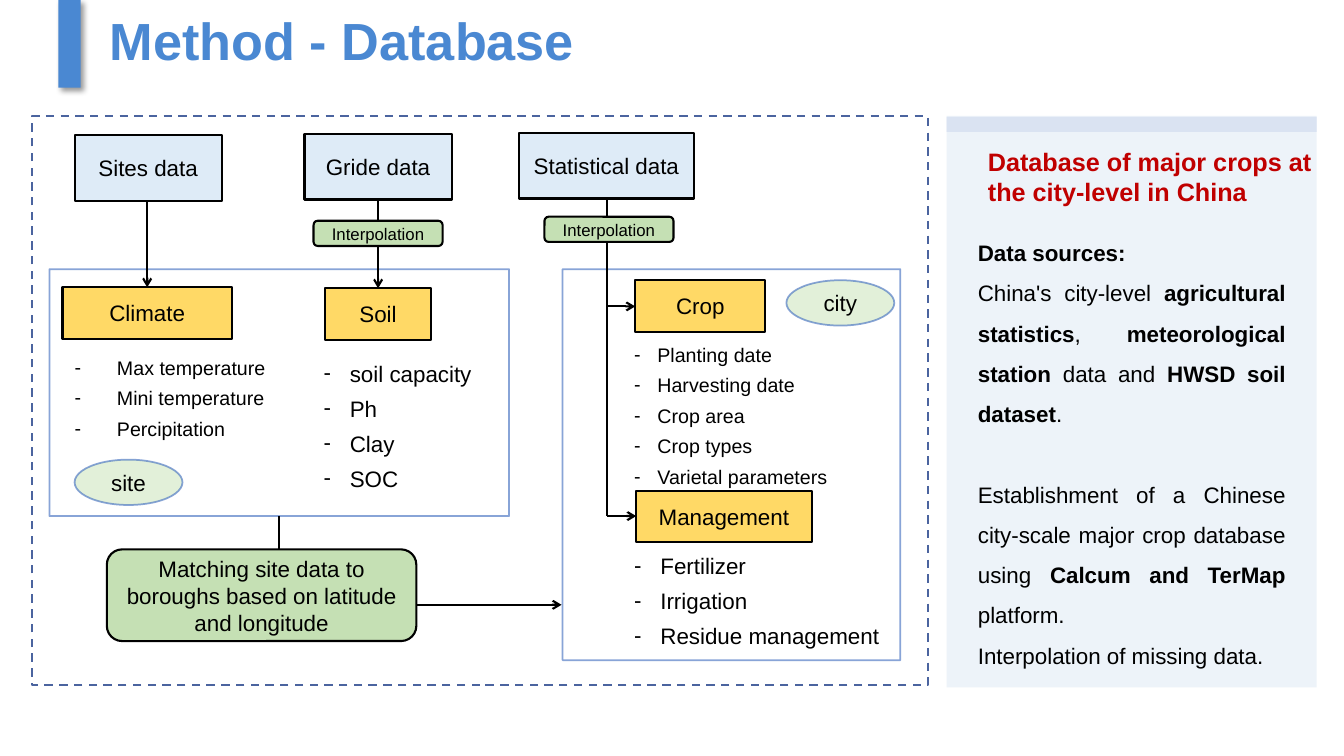
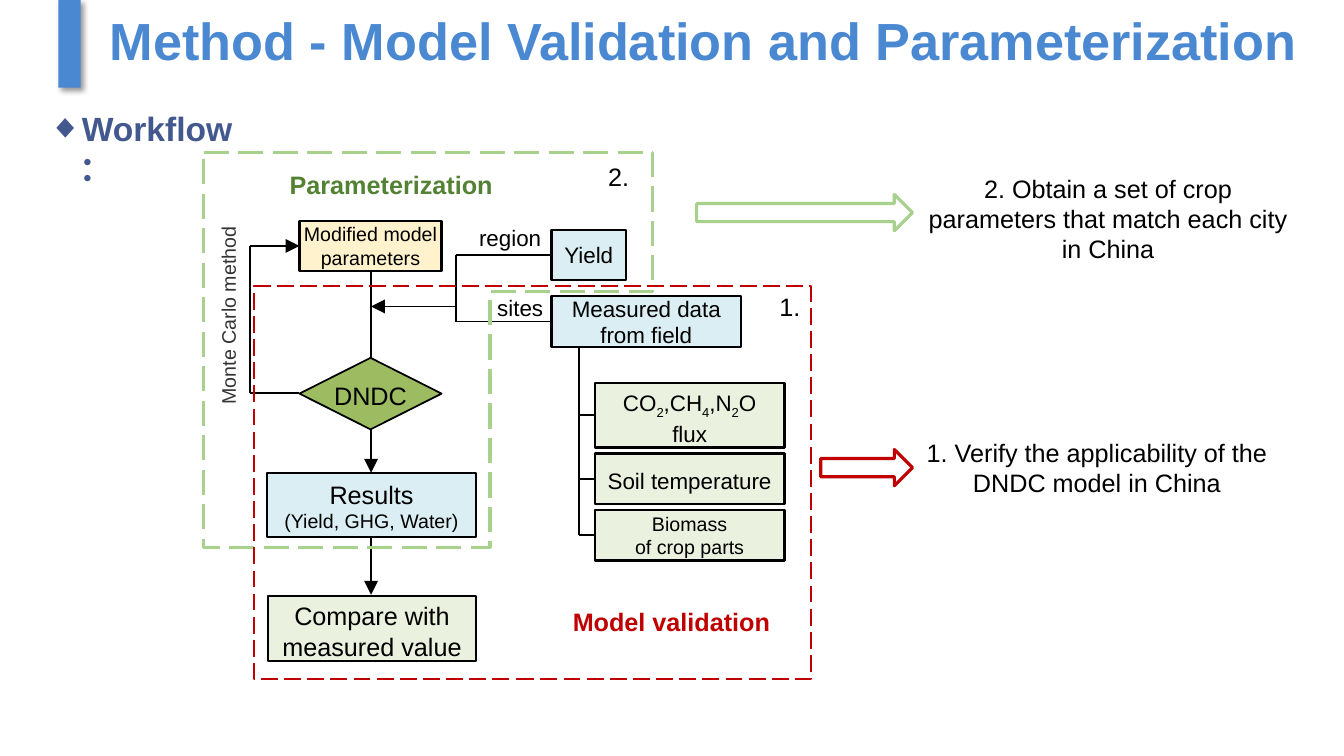
from dataclasses import dataclass
from itertools import pairwise

from lxml.etree import SubElement as Sub
from pptx import Presentation
from pptx.dml.color import RGBColor as Rgb
from pptx.enum.dml import MSO_LINE as Dash
from pptx.enum.shapes import MSO_CONNECTOR as Link, MSO_SHAPE as Form
from pptx.enum.text import MSO_ANCHOR as Anchor, MSO_AUTO_SIZE as Fit, PP_ALIGN as Align
from pptx.oxml.ns import qn
from pptx.util import Inches, Pt


@dataclass(frozen=True)
class Pen:
    """Line colour, width in points, dash and opacity in percent."""
    color: str
    width: float
    dash: object = None
    alpha: int = 100


@dataclass(frozen=True)
class Theme:
    """Colours, pens, type sizes and grid of the deck."""
    font: str = "Arial"
    cell: float = 0.1
    black: str = "000000"
    gray: str = "333333"
    blue: str = "4A88D2"
    navy: str = "42588E"
    red: str = "C00000"
    green: str = "548235"
    panel: str = "EDF3F9"
    band: str = "DAE3F2"
    source: str = "DEEBF7"
    topic: str = "FFD966"
    step: str = "C5E0B4"
    scope: str = "E2F0D9"
    aqua: str = "DBEEF3"
    cream: str = "FFF2CC"
    pale: str = "EBF1DF"
    olive: str = "9DBB61"
    head: float = 37.3
    lead: float = 24
    large: float = 18
    body: float = 16
    small: float = 14
    tiny: float = 12
    ink: Pen = Pen("000000", 1.5)
    edge: Pen = Pen("000000", 1.63)
    thin: Pen = Pen("000000", 1.25)
    soft: Pen = Pen("3F6DBF", 1.25, None, 62)
    frame: Pen = Pen("4B649F", 1.5, Dash.DASH)
    zone: Pen = Pen("C00000", 1.5, Dash.LONG_DASH)
    tune: Pen = Pen("A9D18E", 2.25, Dash.LONG_DASH)
    go: Pen = Pen("A9D18E", 2.25)
    test: Pen = Pen("C00000", 2.25)


LOOK = Theme()


def grid(*cells):
    """Turn grid cells into lengths."""
    return [Inches(cell * LOOK.cell) for cell in cells]


def write(frame, text, size=LOOK.body, color=LOOK.black, bold=False, align=Align.LEFT,
          anchor=Anchor.TOP, pad=(1, 0.5), drop=0, space=1.0, mark=None, hang=0, gaps=None,
          wrap=True):
    """Fill a frame; * toggles bold, ~ toggles subscript, a size tuple goes line by line."""
    frame.word_wrap, frame.auto_size = wrap, Fit.NONE
    frame.vertical_anchor = anchor
    frame.margin_left, frame.margin_top, frame.margin_right, frame.margin_bottom = grid(
        pad[0], pad[1] + drop, pad[0], pad[1])
    for row, line in enumerate(text.split("\n")):
        para = frame.add_paragraph() if row else frame.paragraphs[0]
        para.alignment, para.line_spacing = align, space
        para.space_before = Pt((gaps or {}).get(row, 0))
        if mark:
            props = para._p.get_or_add_pPr()
            props.set("marL", str(grid(hang)[0]))
            props.set("indent", str(grid(-hang)[0]))
            Sub(props, qn("a:buChar"), char=mark)
        for turn, part in enumerate(line.split("*")):
            for sub, piece in enumerate(part.split("~")):
                if not piece:
                    continue
                run = para.add_run()
                run.text = piece
                font = run.font
                font.name, font.bold = LOOK.font, bold or turn % 2 == 1
                font.size = Pt(size[row] if isinstance(size, tuple) else size)
                font.color.rgb = Rgb.from_string(color)
                if sub % 2:
                    font._element.set("baseline", "-25000")


class Deck:
    """Presentation with a current slide and one method per kind of element."""

    def __init__(self):
        self.show = Presentation()
        self.show.slide_width, self.show.slide_height = Inches(13.33), Inches(7.5)

    def page(self, title, layout):
        """Start a slide with its accent bar and title."""
        self.slide = self.show.slides.add_slide(self.show.slide_layouts[layout])
        self.shapes = self.slide.shapes
        bar = self.box(5.8, 0, 2.2, 8.7, fill=LOOK.blue)
        glow = Sub(bar._element.spPr.find(qn("a:effectLst")), qn("a:outerShdw"),
                   blurRad=str(Pt(4)), dist=str(Pt(3)), dir="2700000", algn="tl", rotWithShape="0")
        tint = Sub(glow, qn("a:srgbClr"), val=LOOK.black)
        Sub(tint, qn("a:alpha"), val="40000")
        self.place(self.shapes.title, 9.9, 0.3, 122.2, 6.7)
        write(self.shapes.title.text_frame, title, size=LOOK.head, color=LOOK.blue, bold=True)

    def place(self, shape, x, y, w, h):
        """Move a shape onto the grid."""
        shape.left, shape.top, shape.width, shape.height = grid(x, y, w, h)

    def paint(self, shape, fill, pen):
        """Give a shape its fill and outline."""
        shape.shadow.inherit = False
        if fill:
            shape.fill.solid()
            shape.fill.fore_color.rgb = Rgb.from_string(fill)
        else:
            shape.fill.background()
        if pen:
            self.trace(shape.line, pen)
        else:
            shape.line.fill.background()
        return shape

    def trace(self, line, pen):
        """Apply a pen to a line."""
        line.color.rgb = Rgb.from_string(pen.color)
        line.width = Pt(pen.width)
        if pen.dash:
            line.dash_style = pen.dash
        if pen.alpha < 100:
            tint = line._get_or_add_ln().find(".//" + qn("a:srgbClr"))
            Sub(tint, qn("a:alpha"), val=str(pen.alpha * 1000))

    def box(self, x, y, w, h, text="", fill=None, pen=None, form=Form.RECTANGLE,
            pad=(0, 0), **style):
        """Draw a preset shape with centred text."""
        shape = self.paint(self.shapes.add_shape(form, *grid(x, y, w, h)), fill, pen)
        if text:
            write(shape.text_frame, text, align=Align.CENTER, anchor=Anchor.MIDDLE,
                  pad=pad, **style)
        return shape

    def label(self, x, y, w, h, text, turn=0, **style):
        """Put free text on the slide."""
        note = self.shapes.add_textbox(*grid(x, y, w, h))
        note.rotation = turn
        write(note.text_frame, text, **style)

    def items(self, slot, x, y, w, h, text, mark="-", **style):
        """Fill a body placeholder with a marked list."""
        body = self.slide.placeholders[slot]
        self.place(body, x, y, w, h)
        write(body.text_frame, text, mark=mark, **style)

    def wire(self, *dots, pen=LOOK.thin, head=None, girth="med"):
        """Join points with straight connectors, with a head on the last."""
        for start, end in pairwise(dots):
            link = self.shapes.add_connector(Link.STRAIGHT, *grid(*start, *end))
            self.trace(link.line, pen)
            if head and end == dots[-1]:
                Sub(link.line._get_or_add_ln(), qn("a:tailEnd"), type=head, w=girth, len=girth)
            Sub(link._element.spPr, qn("a:effectLst"))

    def area(self, *dots, pen):
        """Outline a closed polygon."""
        first, *rest = [grid(*dot) for dot in dots]
        path = self.shapes.build_freeform(*first)
        path.add_line_segments(rest, close=True)
        self.paint(path.convert_to_shape(), None, pen)


def data(deck):
    """Build the database slide."""
    deck.page("Method - Database", 4)
    deck.box(93.9, 11.5, 36.7, 56.7, fill=LOOK.panel)
    deck.box(93.9, 11.6, 36.7, 1.5, fill=LOOK.band)
    deck.box(3.2, 11.5, 88.8, 56.5, pen=LOOK.frame)
    deck.box(4.9, 26.7, 45.6, 24.5, pen=LOOK.soft)
    deck.box(55.8, 26.7, 33.5, 38.8, pen=LOOK.soft)

    arrow = dict(pen=LOOK.ink, head="arrow")
    deck.wire((14.6, 19.9), (14.6, 28.5), **arrow)
    deck.wire((37.5, 19.9), (37.5, 28.6), **arrow)
    for x, y in ((63, 30.4), (63.1, 51.2)):
        deck.wire((60.2, 19.7), (60.2, y), (x, y), **arrow)
    deck.wire((27.7, 51.2), (27.7, 60), (55.7, 60), **arrow)

    for x, y, w, text in ((7.4, 13.4, 14.6, "Sites data"), (30.2, 13.3, 14.6, "Gride data"),
                          (51.5, 13.2, 17.3, "Statistical data")):
        deck.box(x, y, w, 6.5, text, LOOK.source, LOOK.ink)
    for x, y, w, text in ((6.2, 28.5, 16.8, "Climate"), (32.2, 28.6, 10.6, "Soil"),
                          (63, 27.8, 12.9, "Crop"), (63.1, 48.7, 17.4, "Management")):
        deck.box(x, y, w, 5.1, text, LOOK.topic, LOOK.ink)
    for x, y in ((31.1, 21.9), (54, 21.5)):
        deck.box(x, y, 12.8, 2.5, "Interpolation", LOOK.step, LOOK.ink,
                 Form.ROUNDED_RECTANGLE, size=LOOK.tiny)
    for x, y, text in ((7.4, 45.6, "site"), (78, 27.8, "city")):
        deck.box(x, y, 10.7, 4.5, text, LOOK.scope, LOOK.soft, Form.OVAL)
    deck.box(10.6, 54.5, 30.7, 9.1, "Matching site data to boroughs based on latitude and longitude",
             LOOK.step, LOOK.ink, Form.ROUNDED_RECTANGLE, pad=(1, 0.5))

    deck.items(1, 6.4, 34.1, 25.5, 9.9, "Max temperature\nMini temperature\nPercipitation",
               size=LOOK.small, space=1.3, hang=4.2)
    deck.items(2, 31.1, 34.4, 17.9, 14.7, "soil capacity\nPh\nClay\nSOC", space=1.3, hang=2.6)
    deck.items(3, 61.9, 32.8, 30.2, 16,
               "Planting date\nHarvesting date\nCrop area\nCrop types\nVarietal parameters",
               size=LOOK.small, space=1.3, hang=2.3)
    deck.items(4, 61.9, 53.5, 29.4, 11.2, "Fertilizer\nIrrigation\nResidue management",
               space=1.3, hang=2.6)

    deck.label(97, 14, 36.4, 7.1, "Database of major crops at the city-level in China",
               size=LOOK.large, color=LOOK.red, bold=True)
    deck.label(96, 21.9, 32.5, 44.9,
               "*Data sources:*\n"
               "China's city-level *agricultural statistics*, *meteorological station* data and "
               "*HWSD soil dataset*.\n"
               "Establishment of a Chinese city-scale major crop database using "
               "*Calcum and TerMap* platform.\n"
               "Interpolation of missing data.",
               align=Align.JUSTIFY, space=1.5, gaps={2: 28.7})


def model(deck):
    """Build the workflow slide."""
    deck.page("Method - Model Validation and Parameterization", 1)
    deck.items(1, 3.8, 10.2, 21.5, 9, "Workflow：", mark="◆", hang=3.1,
               size=LOOK.lead, color=LOOK.navy, bold=True)

    deck.wire((36.8, 26.9), (36.8, 35.5))
    deck.wire((54.7, 31.9), (45.2, 31.9), (45.2, 25.3), (54.7, 25.3))
    deck.wire((57.4, 34.4), (57.4, 53.1), (59, 53.1))
    for y in (41.2, 47.5):
        deck.wire((57.4, y), (59, y))
    for dots in (((45.2, 30.4), (36.8, 30.4)), ((36.8, 42.6), (36.8, 46.9)),
                 ((36.8, 53.4), (36.8, 59)),
                 ((29.7, 39), (24.8, 39), (24.8, 24.4), (29.7, 24.4))):
        deck.wire(*dots, head="triangle", girth="lg")

    deck.box(29.7, 35.5, 14.1, 7.1, "DNDC", LOOK.olive, LOOK.thin, Form.DIAMOND,
             size=LOOK.large, drop=0.4, wrap=False)
    for x, y, w, h, text, fill, size, drop in (
            (54.7, 29.4, 18.8, 5, "Measured data from field", LOOK.aqua, LOOK.body, 0),
            (54.7, 22.8, 7.4, 5, "Yield", LOOK.aqua, LOOK.body, 0),
            (29.7, 21.9, 14.1, 5, "Modified model parameters", LOOK.cream, LOOK.small, 0),
            (26.5, 46.9, 20.7, 6.4, "Results\n(Yield, GHG, Water)", LOOK.aqua,
             (LOOK.large, LOOK.small), 0.2),
            (59, 38, 18.8, 6.4, "CO~2~,CH~4~,N~2~O\nflux", LOOK.pale, LOOK.body, 0.6),
            (59, 45, 18.8, 5, "Soil temperature", LOOK.pale, LOOK.body, 0.4),
            (59, 50.6, 18.8, 5, "Biomass\nof crop parts", LOOK.pale, LOOK.small, 0),
            (26.6, 59.1, 20.6, 6.5, "Compare with measured value", LOOK.pale, LOOK.large, 0.5)):
        deck.box(x, y, w, h, text, fill, LOOK.edge, size=size, drop=drop)

    deck.area((20.2, 15.1), (64.7, 15.1), (64.7, 28.9), (48.6, 28.9), (48.6, 54.3),
              (20.2, 54.3), pen=LOOK.tune)
    deck.box(25.2, 28.4, 55.2, 39, pen=LOOK.zone)
    deck.box(69.1, 19.3, 21.4, 3.6, pen=LOOK.go, form=Form.RIGHT_ARROW)
    deck.box(81.4, 44.6, 9.1, 3.6, pen=LOOK.test, form=Form.RIGHT_ARROW)

    tight = dict(align=Align.CENTER, pad=(0, 0))
    deck.label(48.6, 29.2, 6, 2.7, "sites", **tight)
    deck.label(46.6, 22.2, 8, 2.7, "region", **tight)
    deck.label(13.8, 29.1, 18.7, 4.4, "Monte Carlo method", turn=270, size=LOOK.small,
               color=LOOK.gray, align=Align.CENTER, pad=(0, 0.5))
    for x, y, w, h, text, color, bold in (
            (55.7, 59.7, 21.8, 4, "Model validation", LOOK.red, True),
            (27.6, 16.3, 22.4, 4, "Parameterization", LOOK.green, True),
            (76.3, 28.4, 4.1, 4, "1.", LOOK.black, False),
            (59.3, 15.5, 4.1, 4, "2.", LOOK.black, False),
            (91.1, 16.7, 37.6, 10.1,
             "2. Obtain a set of crop parameters that match each city in China", LOOK.black, False),
            (90.8, 42.9, 36, 7.1,
             "1. Verify the applicability of the DNDC model in China", LOOK.black, False)):
        deck.label(x, y, w, h, text, size=LOOK.large, color=color, bold=bold,
                   align=Align.CENTER, pad=(0.5, 0.5))


def main():
    """Build and save the deck."""
    deck = Deck()
    data(deck)
    model(deck)
    deck.show.save("out.pptx")


if __name__ == "__main__":
    main()
